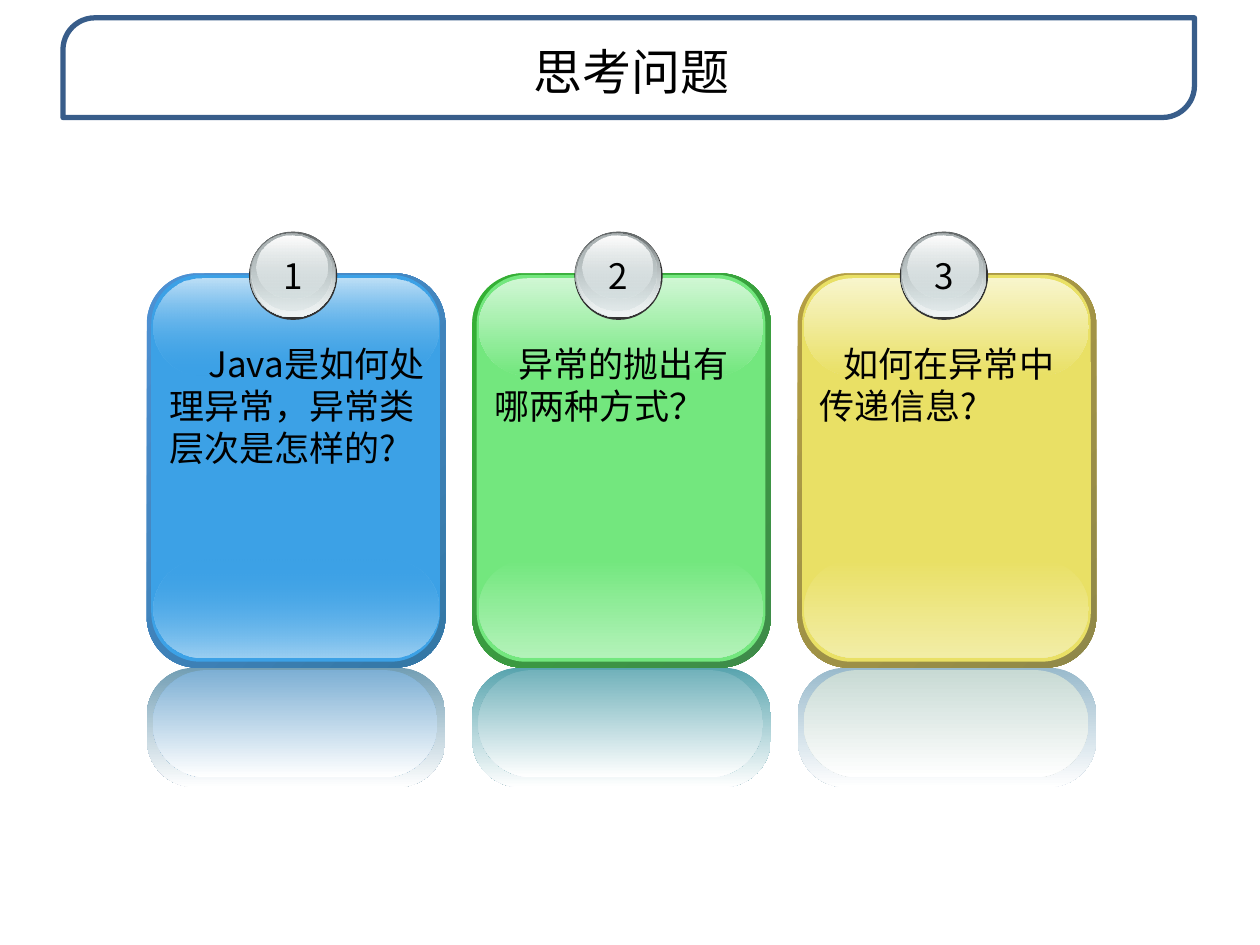
"""Build the slide of three glossy question cards under a framed title."""
from dataclasses import dataclass

from lxml.etree import SubElement
from pptx import Presentation
from pptx.dml.color import RGBColor
from pptx.enum.shapes import MSO_SHAPE
from pptx.enum.text import MSO_ANCHOR, MSO_AUTO_SIZE, PP_ALIGN
from pptx.oxml.ns import qn
from pptx.shapes.autoshape import Shape
from pptx.shapes.shapetree import GroupShapes
from pptx.slide import Slide
from pptx.text.text import TextFrame
from pptx.util import Cm, Pt

FONT = "Noto Sans CJK SC"
BLACK = RGBColor(0x00, 0x00, 0x00)
WHITE = RGBColor(0xFF, 0xFF, 0xFF)
NAVY = RGBColor(0x38, 0x5D, 0x8A)
CHARCOAL = RGBColor(0x33, 0x33, 0x33)
STEEL = RGBColor(0x63, 0x68, 0x69)
GREY = RGBColor(0xAA, 0xB2, 0xB3)
SILVER = RGBColor(0xD6, 0xE1, 0xE2)
PEARL = RGBColor(0xF1, 0xF5, 0xF5)

FIRST_LEFT = 2.96
PITCH = 6.56


@dataclass(frozen=True)
class Stop:
    color: RGBColor
    opacity: int = 100


@dataclass(frozen=True)
class Layer:
    left: float
    top: float
    width: float
    height: float
    stops: tuple[Stop, ...]
    rounding: float | None = None
    angle: int = 270


@dataclass(frozen=True)
class Card:
    question: str
    indent: float
    text_height: float
    rim: tuple[Stop, Stop]
    face: RGBColor
    face_opacity: int
    gloss: RGBColor
    glow: RGBColor
    outer_reflection: RGBColor
    inner_reflection: RGBColor


CARDS = (
    Card("Java是如何处理异常，异常类层次是怎样的?", 0.79, 3.66,
         (Stop(RGBColor(0x4E, 0x91, 0xD4)), Stop(RGBColor(0x34, 0x77, 0xA4))),
         RGBColor(0x3C, 0xA1, 0xE6), 0,
         RGBColor(0xBE, 0xE0, 0xF7), RGBColor(0x9B, 0xCF, 0xF2),
         RGBColor(0x72, 0x9E, 0xB4), RGBColor(0x7D, 0xAF, 0xD4)),
    Card("异常的抛出有哪两种方式？", 0.48, 1.96,
         (Stop(RGBColor(0x34, 0xB0, 0x34)), Stop(RGBColor(0x3F, 0x8B, 0x4A))),
         RGBColor(0x73, 0xE7, 0x7E), 100,
         RGBColor(0xD0, 0xF7, 0xD4), RGBColor(0xB3, 0xF2, 0xB9),
         RGBColor(0x58, 0xA4, 0xAE), RGBColor(0x72, 0xB2, 0xBB)),
    Card("如何在异常中传递信息?", 0.48, 1.96,
         (Stop(RGBColor(0xB5, 0x9F, 0x43)), Stop(RGBColor(0x8F, 0x88, 0x49))),
         RGBColor(0xE9, 0xE0, 0x65), 100,
         RGBColor(0xF8, 0xF5, 0xCC), RGBColor(0xF2, 0xED, 0xA6),
         RGBColor(0x99, 0xBA, 0xCC), RGBColor(0xC8, 0xDA, 0xD4)),
)

BADGE = (
    Layer(2.06, 4.67, 1.78, 1.78, (Stop(CHARCOAL),)),
    Layer(2.08, 4.67, 1.73, 1.73, (Stop(STEEL), Stop(SILVER))),
    Layer(2.11, 4.7, 1.68, 1.68, (Stop(SILVER, 0), Stop(PEARL))),
    Layer(2.12, 4.7, 1.6, 1.57, (Stop(GREY), Stop(SILVER, 48))),
    Layer(2.22, 4.75, 1.42, 1.27, (Stop(WHITE), Stop(SILVER, 38))),
)


def card_layers(card: Card) -> tuple[Layer, ...]:
    """Return the rounded layers of a card, from back to front."""
    fade = Stop(card.face, card.face_opacity)
    white = Stop(WHITE)
    return (
        Layer(0, 5.51, 6.02, 7.95, card.rim, 0.17, 315),
        Layer(0.09, 5.54, 5.82, 7.8, (Stop(card.face),), 0.17),
        Layer(0.13, 11.28, 5.74, 1.98, (fade, Stop(card.glow)), 0.5),
        Layer(0.13, 5.61, 5.74, 1.96, (Stop(card.gloss), fade), 0.5),
        Layer(0, 13.46, 6.02, 2.41, (Stop(card.outer_reflection), white), 0.4),
        Layer(0.12, 13.51, 5.74, 2.16, (Stop(card.inner_reflection), white), 0.5),
    )


def paint(shape: Shape, stops: tuple[Stop, ...], angle: int = 270) -> None:
    """Fill a shape with one colour or a gradient, with opacity."""
    shape.shadow.inherit = False
    if len(stops) == 1:
        shape.fill.solid()
        shape.fill.fore_color.rgb = stops[0].color
    else:
        shape.fill.gradient()
        shape.fill.gradient_angle = angle
        for target, stop in zip(shape.fill.gradient_stops, stops):
            target.color.rgb = stop.color
    colors = shape._element.spPr.iter(qn("a:srgbClr"))
    for color, stop in zip(colors, stops):
        if stop.opacity < 100:
            SubElement(color, qn("a:alpha"), val=str(stop.opacity * 1000))


def add_layer(shapes: GroupShapes, layer: Layer, card_left: float) -> None:
    """Draw one layer of a card or its badge."""
    preset = MSO_SHAPE.OVAL if layer.rounding is None else MSO_SHAPE.ROUNDED_RECTANGLE
    shape = shapes.add_shape(preset, Cm(card_left + layer.left), Cm(layer.top),
                             Cm(layer.width), Cm(layer.height))
    if layer.rounding is not None:
        shape.adjustments[0] = layer.rounding
    paint(shape, layer.stops, layer.angle)
    shape.line.fill.background()


def write(frame: TextFrame, text: str, size: int, align: PP_ALIGN) -> None:
    """Write one formatted run into a text frame."""
    paragraph = frame.paragraphs[0]
    paragraph.alignment = align
    run = paragraph.add_run()
    run.text = text
    run.font.size = Pt(size)
    run.font.name = FONT
    run.font.color.rgb = BLACK
    SubElement(run._r.get_or_add_rPr(), qn("a:ea"), typeface=FONT)


def add_title(slide: Slide) -> None:
    """Set the title and the frame behind it."""
    title = slide.shapes.title
    title.left, title.top, title.width, title.height = Cm(1.3), Cm(0.71), Cm(22.86), Cm(1.45)
    title.text_frame.vertical_anchor = MSO_ANCHOR.MIDDLE
    title.text_frame.auto_size = MSO_AUTO_SIZE.NONE
    write(title.text_frame, "思考问题", 28, PP_ALIGN.CENTER)
    frame = slide.shapes.add_shape(MSO_SHAPE.ROUND_2_DIAG_RECTANGLE,
                                   Cm(1.27), Cm(0.36), Cm(22.81), Cm(2.01))
    frame.adjustments[0] = 0.32
    paint(frame, (Stop(WHITE, 85),))
    frame.line.color.rgb = NAVY
    frame.line.width = Pt(3)
    title._element.addprevious(frame._element)


def add_card(slide: Slide, number: int, card: Card) -> None:
    """Draw a numbered card with its question and reflection."""
    left = FIRST_LEFT + (number - 1) * PITCH
    shapes = slide.shapes.add_group_shape().shapes
    for layer in card_layers(card) + BADGE:
        add_layer(shapes, layer, left)
    label = shapes.add_textbox(Cm(left + 2.48), Cm(5), Cm(0.94), Cm(1.12)).text_frame
    label.word_wrap = False
    label.auto_size = MSO_AUTO_SIZE.SHAPE_TO_FIT_TEXT
    write(label, str(number), 20, PP_ALIGN.CENTER)
    question = shapes.add_textbox(Cm(left + 0.2), Cm(6.78), Cm(5.72),
                                  Cm(card.text_height)).text_frame
    question.word_wrap = True
    question.auto_size = MSO_AUTO_SIZE.SHAPE_TO_FIT_TEXT
    write(question, card.question, 20, PP_ALIGN.LEFT)
    question.paragraphs[0]._p.get_or_add_pPr().set("indent", str(Cm(card.indent)))


def main() -> None:
    """Build and save the slide."""
    presentation = Presentation()
    presentation.slide_width, presentation.slide_height = Cm(25.4), Cm(19.05)
    slide = presentation.slides.add_slide(presentation.slide_layouts[5])
    add_title(slide)
    for number, card in enumerate(CARDS, start=1):
        add_card(slide, number, card)
    presentation.save("out.pptx")


if __name__ == "__main__":
    main()
